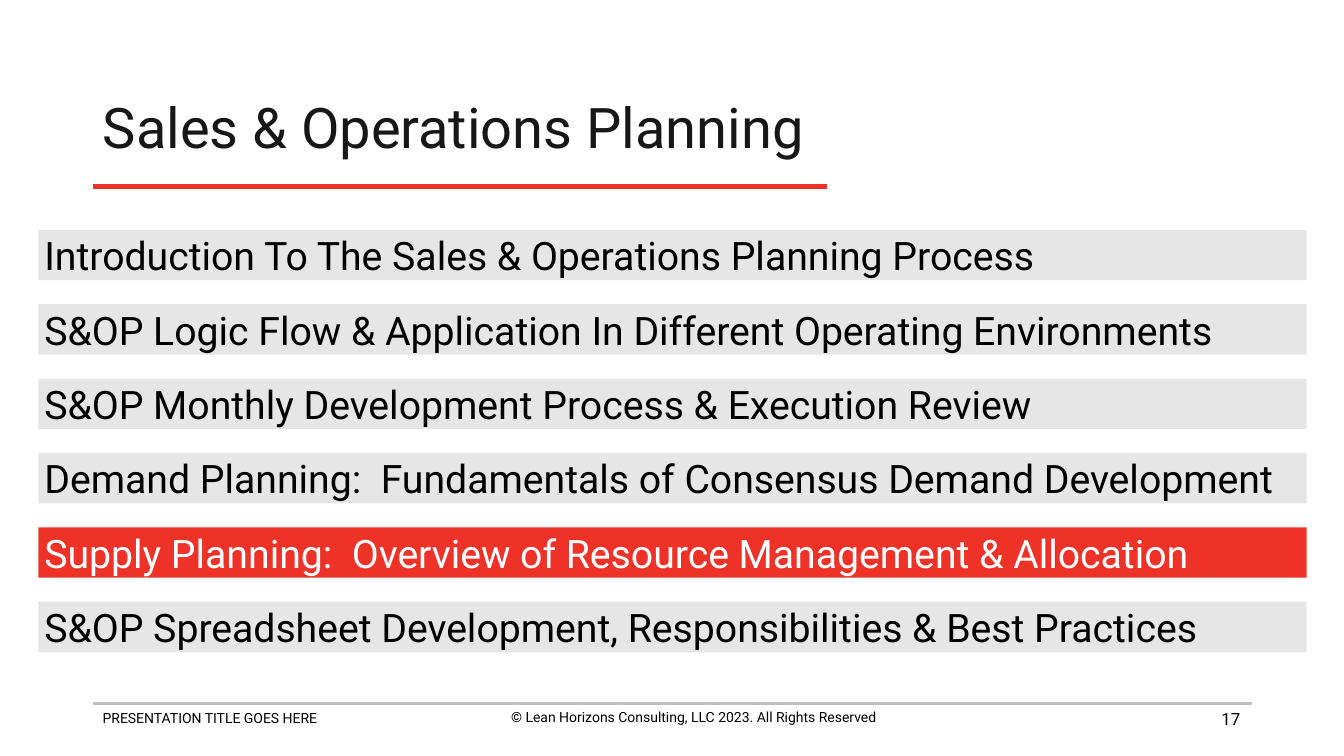
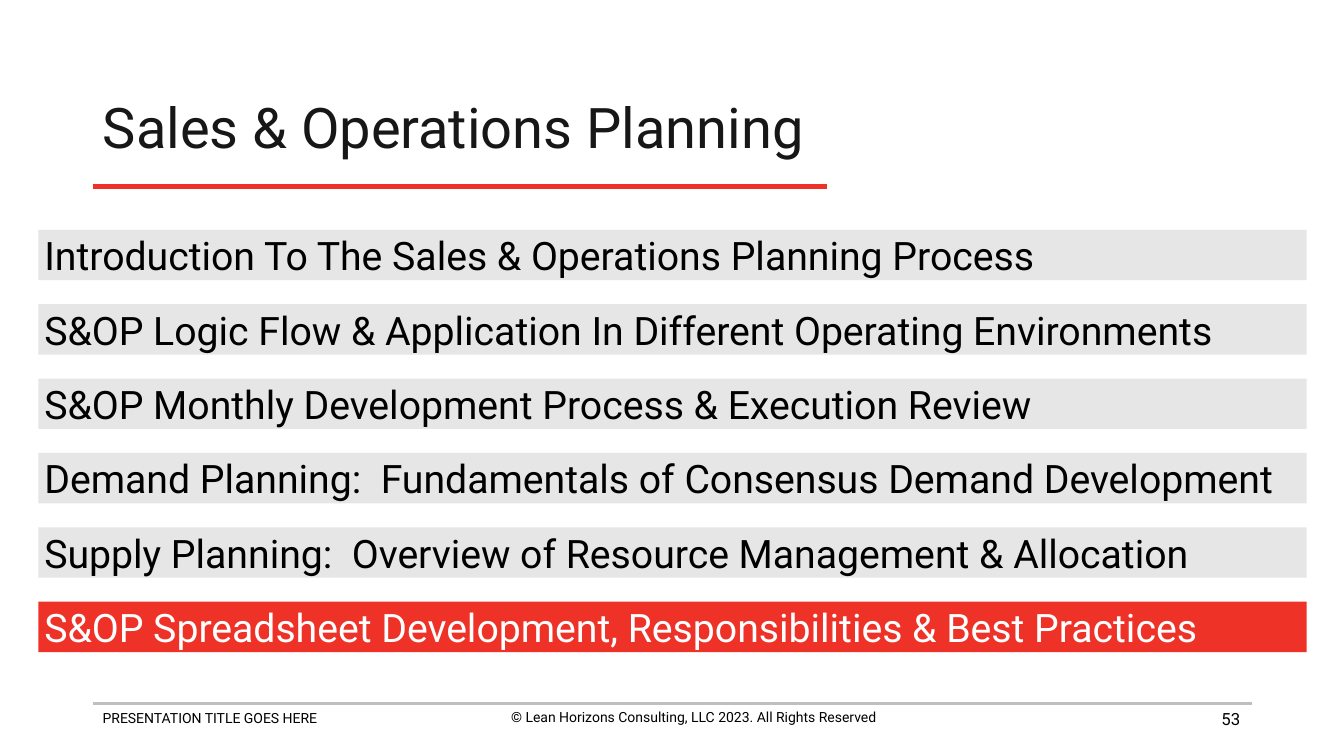
from dataclasses import dataclass

from lxml.etree import SubElement
from pptx import Presentation
from pptx.dml.color import RGBColor
from pptx.enum.shapes import MSO_CONNECTOR as Connector, MSO_SHAPE as Shape
from pptx.enum.text import MSO_ANCHOR as Anchor, MSO_AUTO_SIZE as AutoSize, PP_ALIGN as Align
from pptx.oxml.ns import qn
from pptx.util import Inches, Pt


@dataclass(frozen=True)
class Theme:
    """Hold the colours, font and type sizes of the deck."""
    font: str = "Roboto"
    ink: str = "181717"
    black: str = "000000"
    white: str = "FFFFFF"
    accent: str = "EE3228"
    bar: str = "E7E6E6"
    rule: str = "BFBFBF"
    title_size: int = 40
    topic_size: int = 28
    footer_size: int = 10
    number_size: int = 12


THEME = Theme()
TITLE = "Sales & Operations Planning"
TOPICS = [
    "Introduction To The Sales & Operations Planning Process",
    "S&OP Logic Flow & Application In Different Operating Environments",
    "S&OP Monthly Development Process & Execution Review",
    "Demand Planning:  Fundamentals of Consensus Demand Development",
    "Supply Planning:  Overview of Resource Management & Allocation",
    "S&OP Spreadsheet Development, Responsibilities & Best Practices",
]
FOOTER = "PRESENTATION TITLE GOES HERE"
COPYRIGHT = "© Lean Horizons Consulting, LLC 2023. All Rights Reserved"
AGENDA_SLIDES = [(17, 4), (53, 5)]

MARGIN = 0.92
CONTENT_WIDTH = 11.5
FIRST_BAR_TOP, LAST_BAR_TOP = 2.28, 5.97
BAR_PITCH = (LAST_BAR_TOP - FIRST_BAR_TOP) / (len(TOPICS) - 1)


def set_attributes(target, values):
    """Set each named attribute of the target."""
    for name, value in values.items():
        setattr(target, name, value)


def write_text(shape, text, size, color, align=Align.LEFT, spacing=1.0, **frame_format):
    """Fill a shape with one formatted paragraph."""
    frame = shape.text_frame
    frame.text = text
    set_attributes(frame, {"word_wrap": True, "auto_size": AutoSize.NONE, **frame_format})
    paragraph = frame.paragraphs[0]
    set_attributes(paragraph, {"alignment": align, "line_spacing": spacing})
    set_attributes(paragraph.font, {"name": THEME.font, "size": Pt(size)})
    paragraph.font.color.rgb = RGBColor.from_string(color)


def add_rule(slide, top, width, color, weight):
    """Draw a horizontal rule from the left margin."""
    line = slide.shapes.add_connector(
        Connector.STRAIGHT, Inches(MARGIN), Inches(top), Inches(MARGIN + width), Inches(top))
    line.line.color.rgb = RGBColor.from_string(color)
    line.line.width = Pt(weight)
    SubElement(line._element.spPr, qn("a:effectLst"))


def add_label(slide, box, text, size, **text_format):
    """Add a small black text box."""
    label = slide.shapes.add_textbox(*map(Inches, box))
    write_text(label, text, size, THEME.black, **text_format)


def add_footer(slide, number):
    """Add the footer rule, labels and page number."""
    add_rule(slide, 6.98, CONTENT_WIDTH, THEME.rule, 2)
    add_label(slide, (MARGIN, 6.99, 4.56, 0.44), FOOTER, THEME.footer_size)
    add_label(slide, (4.6, 6.98, 4.56, 0.44), COPYRIGHT, THEME.footer_size, align=Align.CENTER)
    add_label(slide, (9.4, 6.93, 3, 0.4), str(number), THEME.number_size,
              align=Align.RIGHT, vertical_anchor=Anchor.MIDDLE)


def add_title(slide):
    """Place the title with its accent rule."""
    title = slide.shapes.title
    set_attributes(title, {"left": Inches(MARGIN), "top": Inches(0.74),
                           "width": Inches(CONTENT_WIDTH), "height": Inches(1.1)})
    write_text(title, TITLE, THEME.title_size, THEME.ink, spacing=0.9,
               vertical_anchor=Anchor.MIDDLE)
    add_rule(slide, 1.85, 7.28, THEME.accent, 3)


def add_topic_bar(group, index, active):
    """Add one topic bar, highlighted when active."""
    top = FIRST_BAR_TOP + index * BAR_PITCH
    bar = group.shapes.add_shape(
        Shape.RECTANGLE, Inches(0.38), Inches(top), Inches(12.58), Inches(0.5))
    bar.shadow.inherit = False
    bar.fill.solid()
    bar.fill.fore_color.rgb = RGBColor.from_string(THEME.accent if active else THEME.bar)
    bar.line.fill.background()
    insets = dict.fromkeys(
        ("margin_left", "margin_top", "margin_right", "margin_bottom"), Inches(0.06))
    write_text(bar, TOPICS[index], THEME.topic_size, THEME.white if active else THEME.black,
               vertical_anchor=Anchor.MIDDLE, **insets)


def add_agenda_slide(presentation, number, active_index):
    """Build an agenda slide with one active topic."""
    slide = presentation.slides.add_slide(presentation.slide_layouts.get_by_name("Title Only"))
    add_footer(slide, number)
    add_title(slide)
    group = slide.shapes.add_group_shape()
    for index in range(len(TOPICS)):
        add_topic_bar(group, index, index == active_index)


def main():
    """Build and save the presentation."""
    presentation = Presentation()
    set_attributes(presentation, {"slide_width": Inches(13.33), "slide_height": Inches(7.5)})
    for number, active_index in AGENDA_SLIDES:
        add_agenda_slide(presentation, number, active_index)
    presentation.save("out.pptx")


if __name__ == "__main__":
    main()
